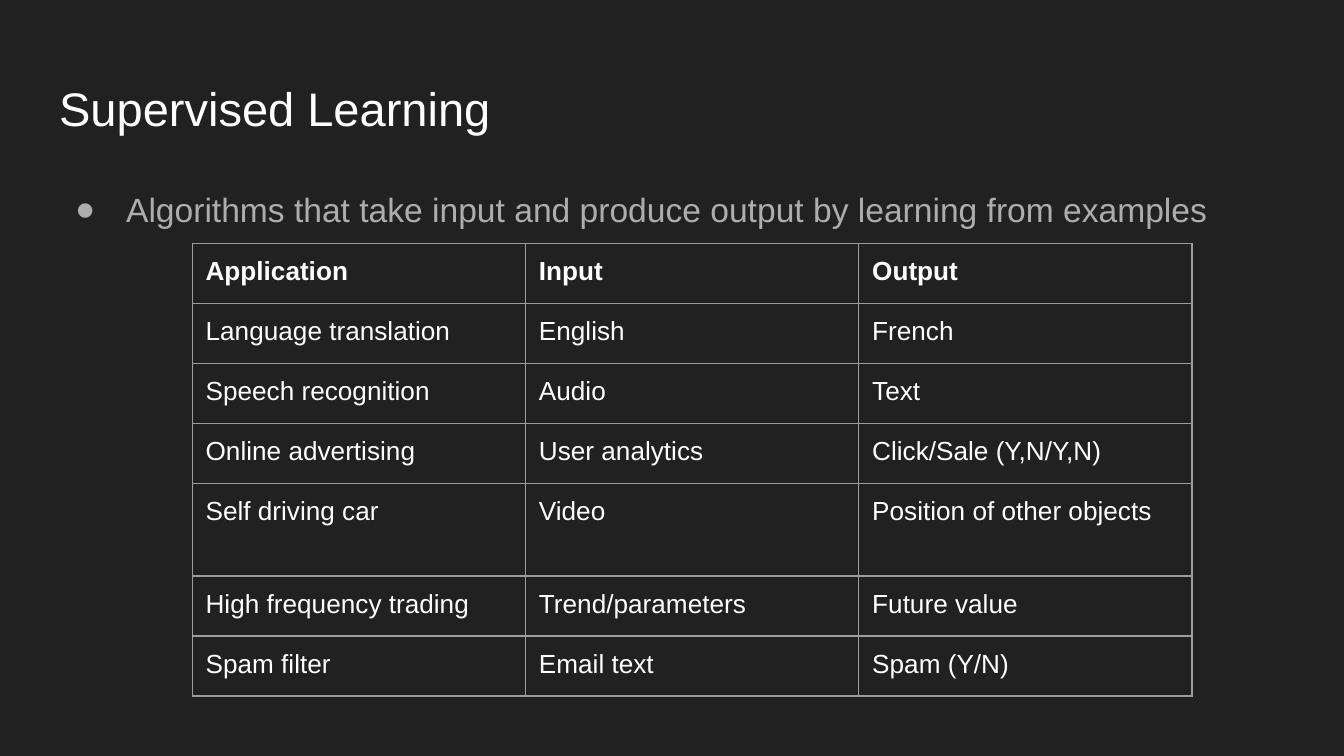
"""Build the Supervised Learning slide with its table of applications."""
import pptx
import pptx.dml.color
import pptx.enum.text
import pptx.oxml
import pptx.oxml.ns
import pptx.util
from pptx.util import Inches

BACKGROUND = pptx.dml.color.RGBColor(0x21, 0x21, 0x21)
WHITE = pptx.dml.color.RGBColor(0xFF, 0xFF, 0xFF)
GREY = pptx.dml.color.RGBColor(0xAD, 0xAD, 0xAD)
BORDER = pptx.dml.color.RGBColor(0x9E, 0x9E, 0x9E)
MARGINS = {f"margin_{side}": Inches(0.1) for side in ("left", "top", "right", "bottom")}
NAMESPACE = pptx.oxml.ns.nsdecls("a")

APPLICATIONS = [
    ("Application", "Input", "Output"),
    ("Language translation", "English", "French"),
    ("Speech recognition", "Audio", "Text"),
    ("Online advertising", "User analytics", "Click/Sale (Y,N/Y,N)"),
    ("Self driving car", "Video", "Position of other objects"),
    ("High frequency trading", "Trend/parameters", "Future value"),
    ("Spam filter", "Email text", "Spam (Y/N)"),
]
TABLE_HEIGHT = 3.37
TALL_ROW = 4
TALL_ROW_HEIGHT = 0.69
ROW_HEIGHT = (TABLE_HEIGHT - TALL_ROW_HEIGHT) / (len(APPLICATIONS) - 1)
COLUMN_WIDTH = 2.48


def set_attributes(target, values):
    for name, value in values.items():
        setattr(target, name, value)


def write_text(frame, text, size, color, bold=False):
    set_attributes(frame, MARGINS)
    para = frame.paragraphs[0]
    para.alignment = pptx.enum.text.PP_ALIGN.LEFT
    span = para.add_run()
    span.text = text
    set_attributes(span.font, {"name": "Arial", "size": pptx.util.Pt(size), "bold": bold})
    span.font.color.rgb = color
    return para


deck = pptx.Presentation()
deck.slide_width = Inches(10)
deck.slide_height = deck.slide_width * 9 // 16
page = deck.slides.add_slide(deck.slide_layouts[5])
page.background.fill.solid()
page.background.fill.fore_color.rgb = BACKGROUND

title = page.shapes.title
set_attributes(title, {"left": Inches(0.34), "top": Inches(0.49),
                       "width": Inches(9.32), "height": Inches(0.63)})
set_attributes(title.text_frame, {
    "word_wrap": True,
    "auto_size": pptx.enum.text.MSO_AUTO_SIZE.NONE,
    "vertical_anchor": pptx.enum.text.MSO_ANCHOR.MIDDLE,
})
write_text(title.text_frame, "Supervised Learning", 25.2, WHITE)

body = page.shapes.add_textbox(Inches(0.34), Inches(1.26), Inches(9.32), Inches(3.64))
body.text_frame.word_wrap = True
para = write_text(
    body.text_frame,
    "Algorithms that take input and produce output by learning from examples",
    18, GREY,
)
para.line_spacing = 1.15
properties = para._p.get_or_add_pPr()
properties.set("marL", str(Inches(0.5)))
properties.set("indent", str(Inches(-0.38)))
for bullet in (
    f'<a:buClr {NAMESPACE}><a:srgbClr val="{GREY}"/></a:buClr>',
    f'<a:buFont {NAMESPACE} typeface="Arial"/>',
    f'<a:buChar {NAMESPACE} char="●"/>',
):
    properties.append(pptx.oxml.parse_xml(bullet))

heights = [TALL_ROW_HEIGHT if row == TALL_ROW else ROW_HEIGHT
           for row in range(len(APPLICATIONS))]
columns = len(APPLICATIONS[0])
table = page.shapes.add_table(
    len(APPLICATIONS), columns, Inches(1.43), Inches(1.81),
    Inches(COLUMN_WIDTH * columns), Inches(TABLE_HEIGHT),
).table
table.horz_banding = False
for column in table.columns:
    column.width = Inches(COLUMN_WIDTH)
for row, (height, texts) in enumerate(zip(heights, APPLICATIONS)):
    table.rows[row].height = Inches(height)
    for column, text in enumerate(texts):
        cell = table.cell(row, column)
        set_attributes(cell, MARGINS)
        write_text(cell.text_frame, text, 14, WHITE, bold=row == 0)
        cell_properties = cell._tc.get_or_add_tcPr()
        for edge in ("lnL", "lnR", "lnT", "lnB"):
            cell_properties.append(pptx.oxml.parse_xml(
                f'<a:{edge} {NAMESPACE} w="{pptx.util.Pt(0.75)}"><a:solidFill>'
                f'<a:srgbClr val="{BORDER}"/></a:solidFill></a:{edge}>'
            ))
        cell.fill.background()

deck.save("out.pptx")
